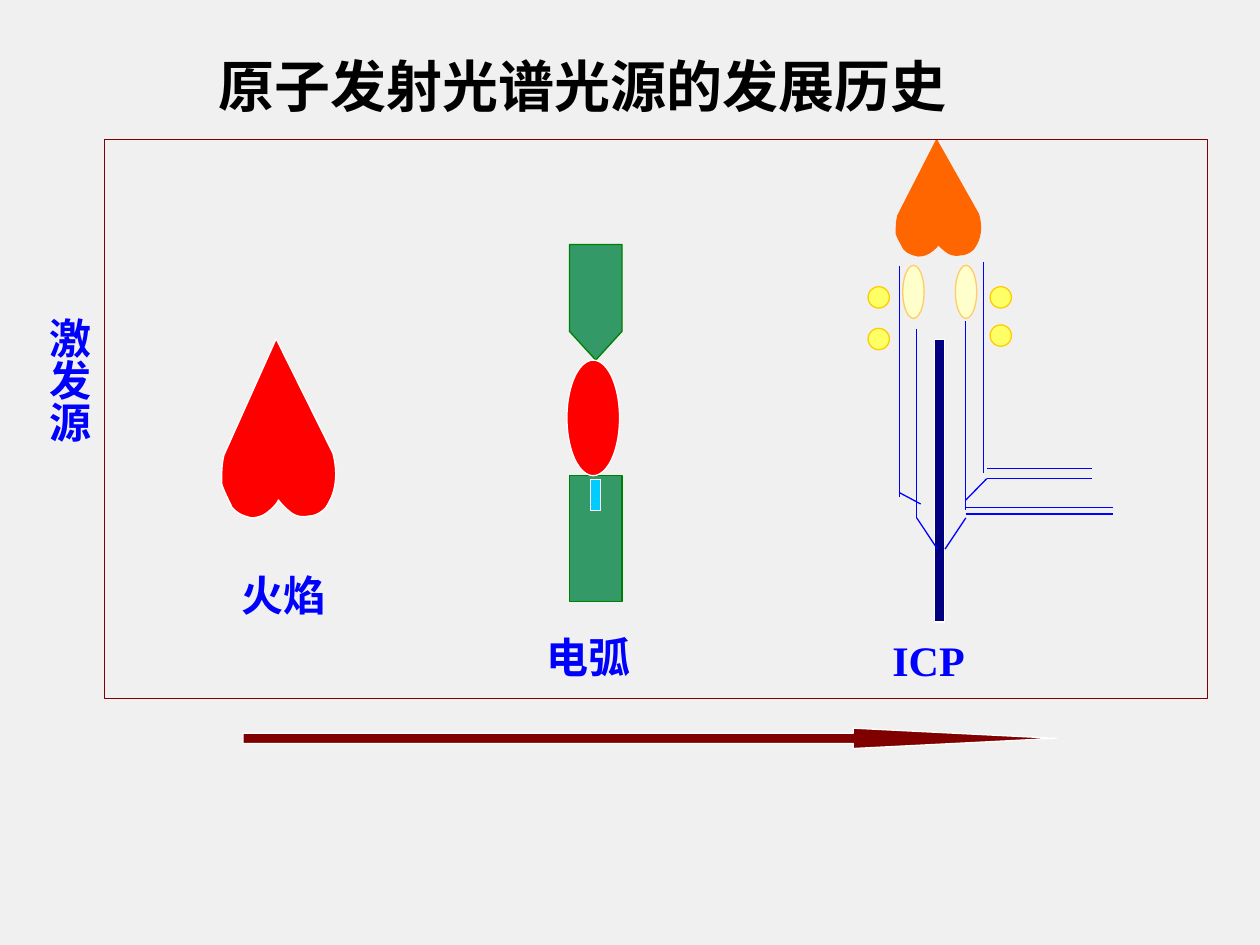
"""Builds a slide on the history of light sources for atomic emission spectrometry."""
from dataclasses import dataclass

from lxml import etree
from pptx import Presentation
from pptx.dml.color import RGBColor
from pptx.enum.shapes import MSO_CONNECTOR, MSO_SHAPE
from pptx.enum.text import MSO_AUTO_SIZE, PP_ALIGN
from pptx.oxml.ns import qn
from pptx.slide import Slide
from pptx.util import Cm, Pt

RECTANGLE, OVAL, ARROW = MSO_SHAPE.RECTANGLE, MSO_SHAPE.OVAL, MSO_SHAPE.RIGHT_ARROW
STRAIGHT = MSO_CONNECTOR.STRAIGHT
FIT_SHAPE = MSO_AUTO_SIZE.SHAPE_TO_FIT_TEXT
CENTER = PP_ALIGN.CENTER

COLORS = {
    "page": "F0F0F0", "title": "000000", "label": "0000FF", "white": "FFFFFF",
    "fire": "FF0000", "plasma": "FF6600", "tube": "000080", "maroon": "800000",
    "electrode": "339966", "electrode_edge": "008000", "sample": "00CCFF",
    "gas": "FFFFCC", "gas_edge": "FFCC66", "coil": "FFFF66", "coil_edge": "FFCC00",
}

FLAME_START = (0.5, 0.9)
FLAME_SEGMENTS = [
    [(0.52, 0.92), (0.57, 0.95), (0.59, 0.96)],
    [(0.64, 0.99), (0.7, 1), (0.77, 0.99)],
    [(0.82, 0.99), (0.88, 0.97), (0.92, 0.94)],
    [(0.97, 0.89), (0.99, 0.85), (1, 0.8)],
    [(1.01, 0.75), (1, 0.69), (0.98, 0.64)],
    [(0.48, 0)],
    [(0.02, 0.65)],
    [(0, 0.7), (0, 0.75), (0, 0.81)],
    [(0.02, 0.85), (0.06, 0.9), (0.09, 0.94)],
    [(0.14, 0.98), (0.2, 0.99), (0.26, 1)],
    [(0.31, 1), (0.37, 0.99), (0.42, 0.96)],
    [(0.44, 0.95), (0.49, 0.92), (0.5, 0.9)],
]

ELECTRODE_TIP = [(12.54, 4.93), (12.54, 6.68), (12.01, 7.26), (11.48, 6.68), (11.48, 4.93)]

TORCH_LINES = [
    (19.89, 9.65, 19.47, 10.08), (18.48, 6.63, 18.48, 10.44),
    (19.47, 6.48, 19.47, 10.29), (18.48, 10.44, 18.9, 11.07),
    (19.47, 10.23, 22.43, 10.23), (19.47, 10.36, 22.43, 10.36),
    (19.47, 10.44, 19.05, 11.07), (18.13, 5.36, 18.13, 10.01),
    (18.13, 9.93, 18.56, 10.16), (19.89, 9.65, 22.02, 9.65),
    (19.89, 9.45, 22.02, 9.45), (19.83, 5.28, 19.83, 9.53),
]
COILS = [(17.5, 5.78), (17.5, 6.62), (19.96, 5.78), (19.96, 6.55)]


def flame_outline(steps=6):
    """Return the flame outline as points within a unit square."""
    outline = [FLAME_START]
    for segment in FLAME_SEGMENTS:
        if len(segment) == 1:
            outline += segment
            continue
        controls = [outline[-1], *segment]
        for step in range(1, steps + 1):
            t = step / steps
            weights = ((1 - t) ** 3, 3 * t * (1 - t) ** 2, 3 * t * t * (1 - t), t ** 3)
            outline.append(tuple(sum(w * point[axis] for w, point in zip(weights, controls))
                                 for axis in (0, 1)))
    return outline


@dataclass
class Sketch:
    """Draws on one slide in one style, with lengths in centimetres."""
    slide: Slide
    font: str = "Times New Roman"
    line_width: float = 0.75

    def color(self, name):
        """Look up a colour."""
        return RGBColor.from_string(COLORS[name])

    def paint(self, shape, fill, edge):
        """Set fill and outline, without shadow."""
        shape.shadow.inherit = False
        if fill:
            shape.fill.solid()
            shape.fill.fore_color.rgb = self.color(fill)
        else:
            shape.fill.background()
        shape.line.color.rgb = self.color(edge)
        shape.line.width = Pt(self.line_width)

    def shape(self, kind, box, fill, edge):
        """Add a preset shape."""
        shape = self.slide.shapes.add_shape(kind, *map(Cm, box))
        self.paint(shape, fill, edge)
        return shape

    def outline(self, points, fill, edge):
        """Add a closed polygon."""
        corners = [(Cm(x), Cm(y)) for x, y in points]
        builder = self.slide.shapes.build_freeform(*corners[0])
        builder.add_line_segments(corners[1:], close=True)
        self.paint(builder.convert_to_shape(), fill, edge)

    def flame(self, box, fill, edge):
        """Add a flame that fills the box."""
        left, top, width, height = box
        points = [(left + x * width, top + y * height) for x, y in flame_outline()]
        self.outline(points, fill, edge)

    def line(self, ends, color="label"):
        """Add a straight line."""
        line = self.slide.shapes.add_connector(STRAIGHT, *map(Cm, ends))
        line.line.color.rgb = self.color(color)
        line.line.width = Pt(self.line_width)
        etree.SubElement(line._element.spPr, qn("a:effectLst"))

    def text(self, wording, box, size=24, color="label", wrap=True, vertical=False):
        """Add a bold one-paragraph text box."""
        frame = self.slide.shapes.add_textbox(*map(Cm, box)).text_frame
        frame.word_wrap = wrap
        frame.auto_size = FIT_SHAPE
        paragraph = frame.paragraphs[0]
        if vertical:
            frame._txBody.bodyPr.set("vert", "eaVert")
            frame.margin_left = frame.margin_right = Cm(0.13)
            frame.margin_top = frame.margin_bottom = Cm(0.25)
            paragraph.alignment = CENTER
        paragraph.text = wording
        paragraph.font.name = self.font
        paragraph.font.size = Pt(size)
        paragraph.font.bold = True
        paragraph.font.color.rgb = self.color(color)


def main():
    """Build and save the slide."""
    deck = Presentation()
    deck.slide_width, deck.slide_height = Cm(25.4), Cm(19.05)
    slide = deck.slides.add_slide(deck.slide_layouts[6])
    sketch = Sketch(slide)
    slide.background.fill.solid()
    slide.background.fill.fore_color.rgb = sketch.color("page")

    sketch.flame((4.47, 6.83, 2.29, 3.61), "fire", "white")
    sketch.text("火焰", (4.62, 11.35, 2.82, 1.27))

    sketch.flame((18.07, 2.82, 1.69, 2.34), "plasma", "plasma")
    sketch.shape(RECTANGLE, (18.84, 6.84, 0.2, 5.7), "tube", "white")
    for ends in TORCH_LINES:
        sketch.line(ends)
    for left in (18.2, 19.26):
        sketch.shape(OVAL, (left, 5.35, 0.43, 1.07), "gas", "gas_edge")
    for left, top in COILS:
        sketch.shape(OVAL, (left, top, 0.43, 0.43), "coil", "coil_edge")
    sketch.text("ICP", (17.74, 12.67, 1.96, 1.27), wrap=False)

    sketch.text("电弧", (10.77, 12.6, 2.4, 1.27))
    sketch.shape(RECTANGLE, (11.48, 9.59, 1.06, 2.54), "electrode", "electrode_edge")
    sketch.outline(ELECTRODE_TIP, "electrode", "electrode_edge")
    sketch.shape(RECTANGLE, (11.91, 9.66, 0.2, 0.64), "sample", "white")
    sketch.shape(OVAL, (11.43, 7.26, 1.06, 2.33), "fire", "white")

    sketch.shape(RECTANGLE, (2.11, 2.82, 22.23, 11.27), None, "maroon")
    sketch.text("激发源", (0.51, 6.15, 1.52, 4.93), vertical=True)
    timeline = sketch.shape(ARROW, (4.9, 14.68, 16.4, 0.41), "maroon", "white")
    timeline.adjustments[0], timeline.adjustments[1] = 0.5, 10.0
    sketch.text("原子发射光谱光源的发展历史", (4.16, 0.91, 18.8, 1.63), size=32, color="title")

    deck.save("out.pptx")


if __name__ == "__main__":
    main()
